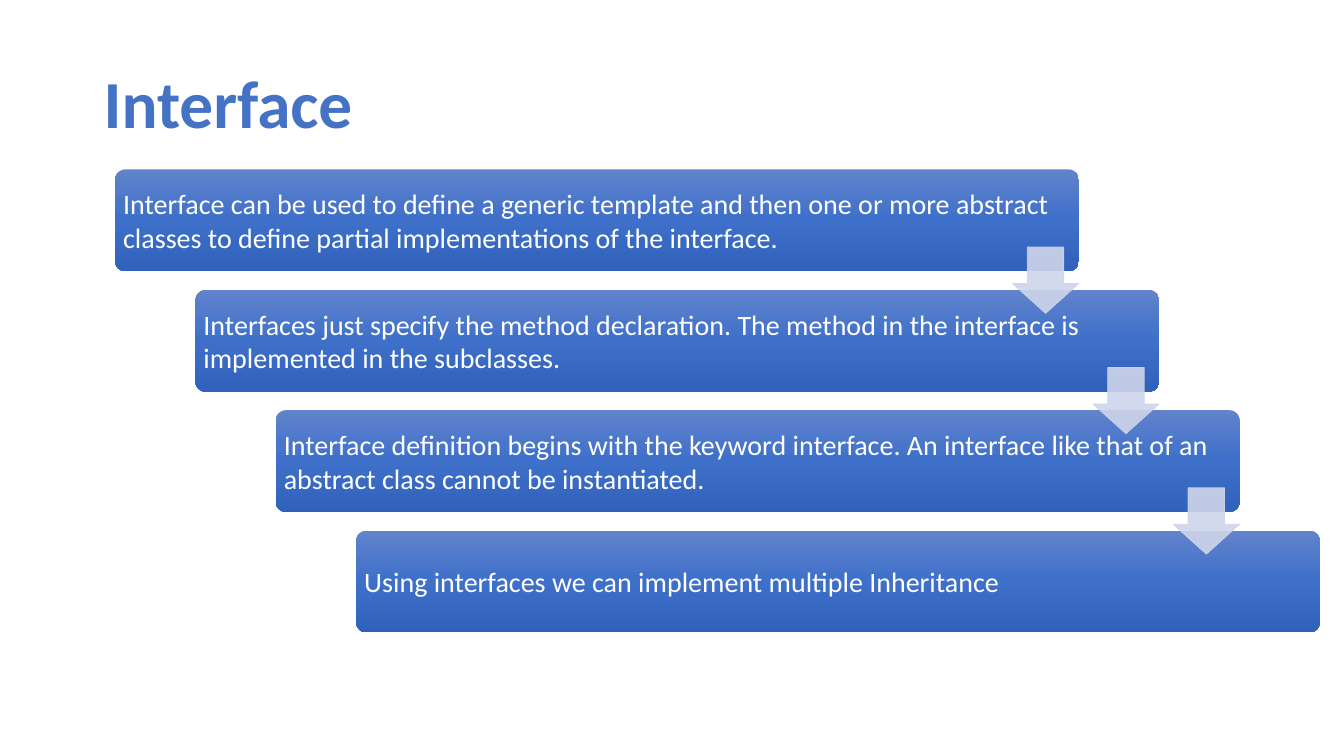
from copy import deepcopy
from lxml import etree
from pptx import Presentation
from pptx.dml.color import RGBColor
from pptx.enum.shapes import MSO_SHAPE
from pptx.enum.text import MSO_ANCHOR, PP_ALIGN
from pptx.oxml.ns import qn
from pptx.util import Pt

ROUND = MSO_SHAPE.ROUNDED_RECTANGLE
DOWN = MSO_SHAPE.DOWN_ARROW
MIDDLE = MSO_ANCHOR.MIDDLE
LEFT = PP_ALIGN.LEFT

COLORS = {
    "title": "4472C4",
    "text": "FFFFFF",
    "top": "6183CB",
    "mid": "3E70CA",
    "low": "3062BB",
    "arrow": "CFD5EA",
}
STEPS = [
    "Interface can be used to define a generic template and then one or more "
    "abstract classes to define partial implementations of the interface.",
    "Interfaces just specify the method declaration. The method in the "
    "interface is implemented in the subclasses.",
    "Interface definition begins with the keyword interface. An interface like "
    "that of an abstract class cannot be instantiated.",
    "Using interfaces we can implement multiple Inheritance",
]


def color(name):
    return RGBColor.from_string(COLORS[name])


def write(shape, text, size=20, tone="text", bold=False, side=3.6, edge=3.6):
    frame = shape.text_frame
    frame.word_wrap = True
    frame.vertical_anchor = MIDDLE
    frame.margin_left = frame.margin_right = Pt(side)
    frame.margin_top = frame.margin_bottom = Pt(edge)
    para = frame.paragraphs[0]
    para.alignment = LEFT
    run = para.add_run()
    run.text = text
    run.font.name = "Calibri"
    run.font.size = Pt(size)
    run.font.bold = bold
    run.font.color.rgb = color(tone)


def shade(shape):
    fill = shape.fill
    fill.gradient()
    fill.gradient_angle = 270
    stops = next(shape._element.spPr.iter(qn("a:gsLst")))
    stops.insert(1, deepcopy(stops[0]))
    for stop, name, place in zip(fill.gradient_stops, ("top", "mid", "low"), (0, 0.5, 1)):
        stop.color.rgb = color(name)
        stop.position = place


def add_title(slide, left, top, width, height):
    box = slide.shapes.add_textbox(Pt(left), Pt(top), Pt(width), Pt(height))
    write(box, "Interface", size=48, tone="title", bold=True, side=7.2, edge=0)


def add_bar(slide, text, left, top, width, height):
    bar = slide.shapes.add_shape(ROUND, Pt(left), Pt(top), Pt(width), Pt(height))
    bar.adjustments[0] = 0.1
    bar.shadow.inherit = False
    bar.line.fill.background()
    shade(bar)
    write(bar, text)


def add_arrow(slide, left, top, size):
    arrow = slide.shapes.add_shape(DOWN, Pt(left), Pt(top), Pt(size), Pt(size))
    arrow.adjustments[0] = 0.55
    arrow.adjustments[1] = 0.45
    arrow.shadow.inherit = False
    arrow.fill.solid()
    arrow.fill.fore_color.rgb = color("arrow")
    arrow.line.color.rgb = color("arrow")
    arrow.line.width = Pt(0.5)
    for tint in arrow._element.spPr.iter(qn("a:srgbClr")):
        etree.SubElement(tint, qn("a:alpha")).set("val", "90000")


def add_stairs(slide, left, top, width, height):
    count = len(STEPS)
    bar_w, bar_h, size = 688.4, 72.7, 47.4
    dx = (width - bar_w) / (count - 1)
    dy = (height - bar_h) / (count - 1)
    for i, text in enumerate(STEPS):
        add_bar(slide, text, left + i * dx, top + i * dy, bar_w, bar_h)
    for i in range(count - 1):
        x = left + i * dx + bar_w - size
        y = top + i * dy + bar_h - 17.2
        add_arrow(slide, x, y, size)


def main():
    deck = Presentation()
    deck.slide_width = Pt(960)
    deck.slide_height = Pt(540)
    slide = deck.slides.add_slide(deck.slide_layouts[6])
    add_title(slide, 67, 43.6, 470, 58.6)
    add_stairs(slide, 82.2, 121, 860.6, 330.7)
    deck.save("out.pptx")


if __name__ == "__main__":
    main()
